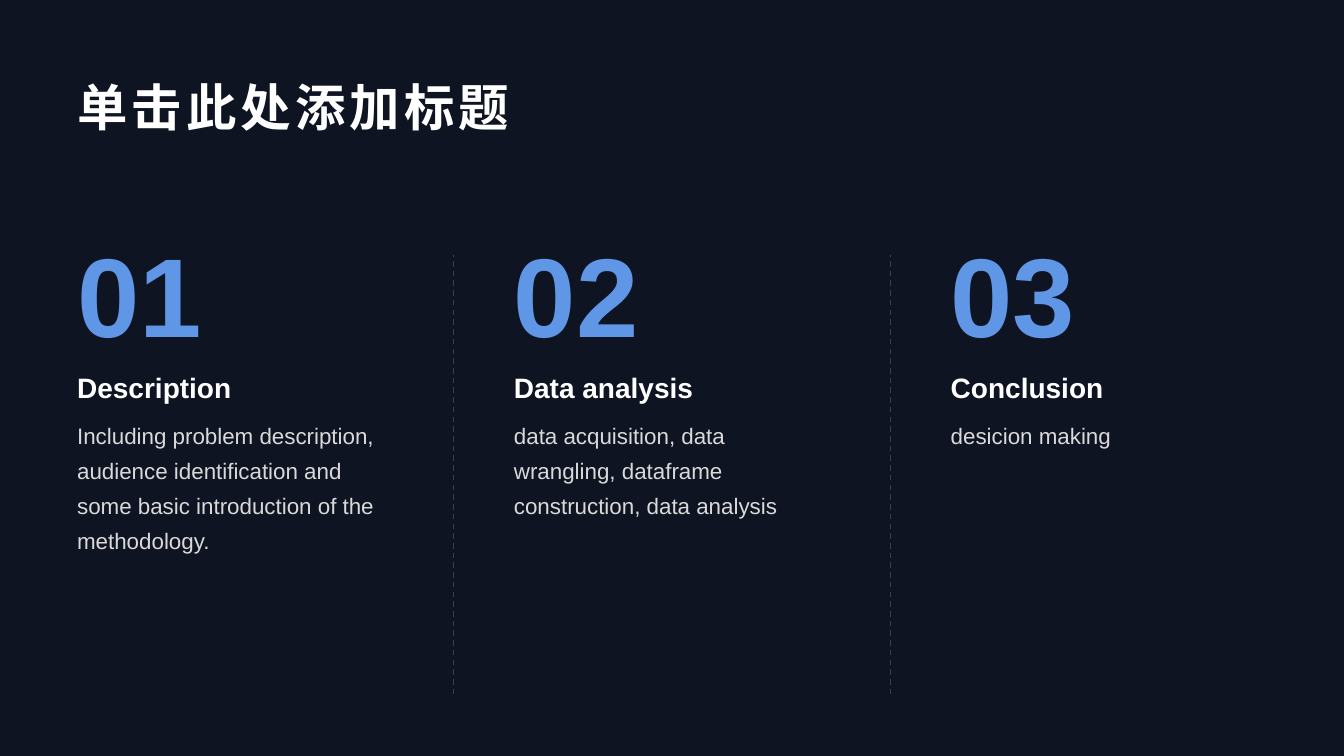
"""Builds a dark agenda slide with three numbered sections."""
from lxml.etree import SubElement
from pptx import Presentation
from pptx.dml.color import RGBColor
from pptx.enum.dml import MSO_LINE
from pptx.enum.shapes import MSO_CONNECTOR
from pptx.enum.text import MSO_ANCHOR, MSO_AUTO_SIZE, PP_ALIGN
from pptx.oxml.ns import qn
from pptx.util import Pt

NAVY = RGBColor(0x0F, 0x14, 0x23)
BLUE = RGBColor(0x60, 0x96, 0xE6)
WHITE = RGBColor(0xFF, 0xFF, 0xFF)
LIGHT_GRAY = RGBColor(0xD9, 0xD9, 0xD9)
DARK_GRAY = RGBColor(0x40, 0x40, 0x40)

MARGIN = 48
COLUMN_WIDTH = 240
COLUMN_STEP = 312
DIVIDER_GAP = 36

SECTIONS = [
    ("Description", "Including problem description, audience identification "
                    "and some basic introduction of the methodology."),
    ("Data analysis", "data acquisition, data wrangling, dataframe "
                      "construction, data analysis"),
    ("Conclusion", "desicion making"),
]


class AgendaSlide:
    """Holds the style and the slide being built."""

    font_name = "Arial"

    def __init__(self, deck):
        self.slide = deck.slides.add_slide(deck.slide_layouts[5])
        background = self.slide.background.fill
        background.solid()
        background.fore_color.rgb = NAVY

    def fill_frame(self, frame, text, size, color, bold, anchor):
        frame.word_wrap = True
        frame.auto_size = MSO_AUTO_SIZE.NONE
        frame.vertical_anchor = anchor
        frame.text = text
        paragraph = frame.paragraphs[0]
        paragraph.alignment = PP_ALIGN.LEFT
        paragraph.font.name = self.font_name
        paragraph.font.size = Pt(size)
        paragraph.font.bold = bold
        paragraph.font.color.rgb = color
        return paragraph

    def title(self, text):
        heading = self.slide.shapes.title
        heading.left, heading.top = Pt(MARGIN), Pt(MARGIN)
        heading.width, heading.height = Pt(864), Pt(55.4)
        paragraph = self.fill_frame(heading.text_frame, text, 36, WHITE, True,
                                    MSO_ANCHOR.MIDDLE)
        paragraph.runs[0].font._element.set("spc", "300")

    def text(self, text, left, top, height, size, color, bold=True,
             anchor=MSO_ANCHOR.BOTTOM):
        box = self.slide.shapes.add_textbox(
            Pt(left), Pt(top), Pt(COLUMN_WIDTH), Pt(height))
        return self.fill_frame(box.text_frame, text, size, color, bold, anchor)

    def section(self, number, name, detail, left):
        self.text(f"{number:02}", left, 156.4, 104.4, 80, BLUE)
        self.text(name, left, 260.8, 31.5, 20, WHITE)
        body = self.text(detail, left, 292.3, 203, 16, LIGHT_GRAY,
                         bold=False, anchor=MSO_ANCHOR.TOP)
        body.line_spacing = 1.3

    def divider(self, x):
        rule = self.slide.shapes.add_connector(
            MSO_CONNECTOR.STRAIGHT, Pt(x), Pt(496), Pt(x), Pt(182))
        rule.line.color.rgb = DARK_GRAY
        rule.line.width = Pt(1)
        rule.line.dash_style = MSO_LINE.DASH
        SubElement(rule._element.spPr, qn("a:effectLst"))


def main():
    deck = Presentation()
    deck.slide_width, deck.slide_height = Pt(960), Pt(540)
    agenda = AgendaSlide(deck)
    agenda.title("单击此处添加标题")
    for index, (name, detail) in enumerate(SECTIONS):
        left = MARGIN + index * COLUMN_STEP
        agenda.section(index + 1, name, detail, left)
        if index:
            agenda.divider(left - DIVIDER_GAP)
    deck.save("out.pptx")


if __name__ == "__main__":
    main()
